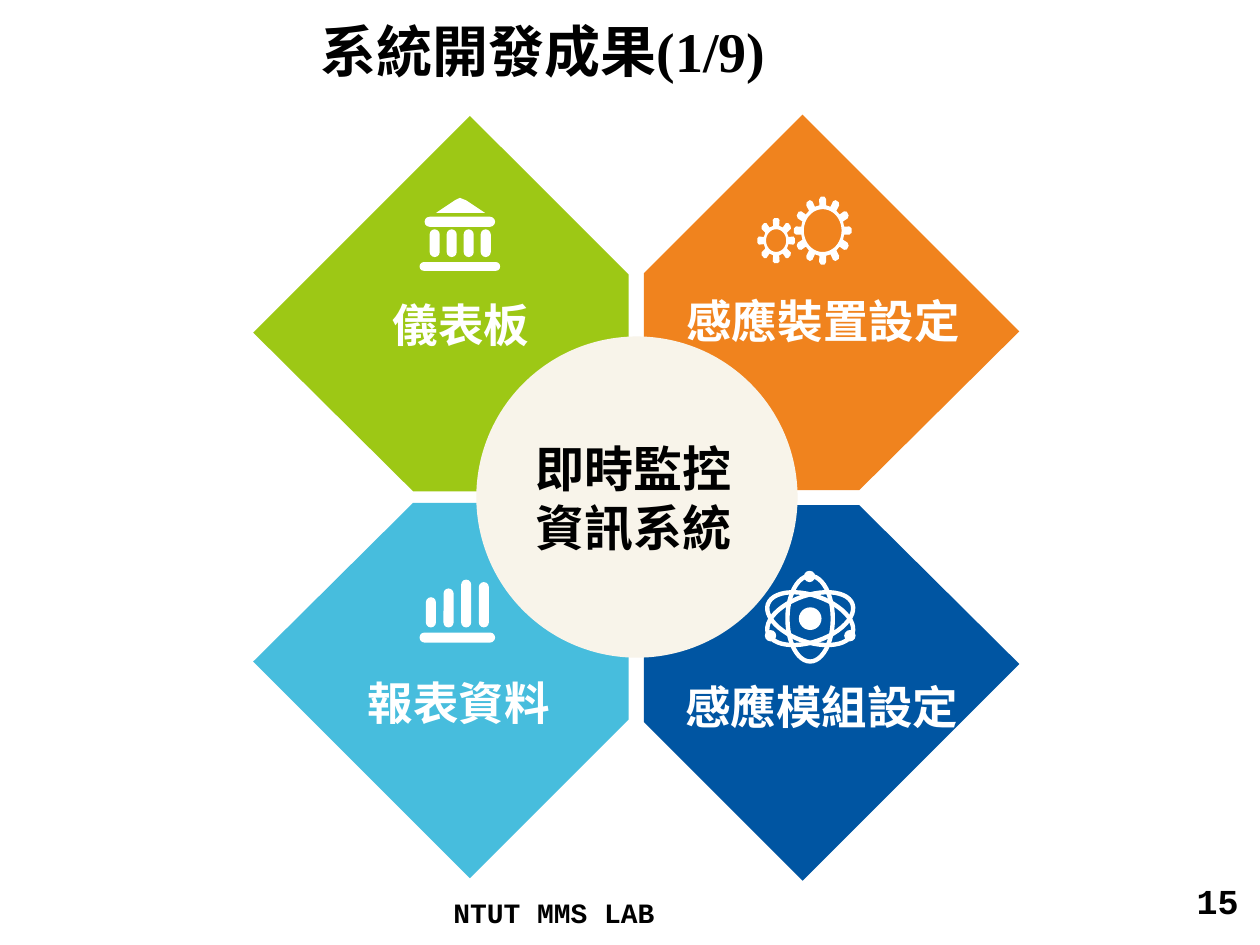
from math import cos, pi, sin

from lxml.etree import SubElement
from pptx import Presentation
from pptx.dml.color import RGBColor
from pptx.enum.shapes import MSO_SHAPE
from pptx.enum.text import MSO_ANCHOR, MSO_AUTO_SIZE, PP_ALIGN
from pptx.oxml.ns import qn
from pptx.util import Inches, Pt

COLUMNS, ROWS = 10, 7.5
CELL = Inches(1)
CJK_FONT = "Noto Sans CJK SC"
WHITE, BLACK, CREAM = "FFFFFF", "000000", "F8F4EA"
TITLE = {"name": "Times New Roman", "size": Pt(32), "bold": True}
LABEL = {"name": CJK_FONT, "size": Pt(26), "bold": True}
CENTER = {**LABEL, "size": Pt(28)}
FOOTER = {"name": "Courier New", "size": Pt(16), "bold": True}
PAGE_NUMBER = {**FOOTER, "size": Pt(20)}
PETALS = [
    (5.11, 3.89, 1, -1, "F0831E"),
    (4.99, 3.99, -1, 1, "47BDDD"),
    (5.11, 4.01, 1, 1, "0055A2"),
    (4.99, 3.9, -1, -1, "9DC815"),
]
LABELS = [
    ("儀表板", 3.02, 2.31, 1.3),
    ("感應裝置設定", 5.35, 2.28, 2.39),
    ("報表資料", 2.82, 5.31, 1.66),
    ("感應模組設定", 5.34, 5.34, 2.39),
]


def color(value):
    """Turn a hex string into a colour."""
    return RGBColor.from_string(value)


def cells(*lengths):
    """Turn grid columns or rows into slide lengths."""
    return [round(length * CELL) for length in lengths]


def write(shape, text, formats, fill=BLACK, **frame_formats):
    """Write one formatted paragraph into a shape."""
    frame = shape.text_frame
    for name, value in frame_formats.items():
        setattr(frame, name, value)
    paragraph = frame.paragraphs[0]
    paragraph.alignment = PP_ALIGN.LEFT
    run = paragraph.add_run()
    run.text = text
    for name, value in formats.items():
        setattr(run.font, name, value)
    run.font.color.rgb = color(fill)
    SubElement(run.font._element, qn("a:ea"), typeface=CJK_FONT)
    return paragraph


def paint(shape, fill):
    """Give a shape a plain fill without line or shadow."""
    shape.shadow.inherit = False
    shape.fill.solid()
    shape.fill.fore_color.rgb = color(fill)
    shape.line.fill.background()
    return shape


def add_preset(shapes, kind, box, fill=WHITE):
    """Add a filled preset shape."""
    return paint(shapes.add_shape(kind, *cells(*box)), fill)


def add_outline(shapes, contours, fill=WHITE):
    """Add a filled freeform made of closed contours."""
    first, *others = [[cells(*point) for point in contour] for contour in contours]
    builder = shapes.build_freeform(*first[0])
    builder.add_line_segments(first[1:], close=True)
    for contour in others:
        builder.move_to(*contour[0])
        builder.add_line_segments(contour[1:], close=True)
    return paint(builder.convert_to_shape(), fill)


def add_petal(shapes, corner_x, corner_y, side_x, side_y, fill):
    """Add a diamond with its inner corner squared off."""
    steps = [(1.71, 0), (0, 0), (0, 1.72), (1.26, 2.98), (2.98, 1.26)]
    points = [(corner_x + side_x * x, corner_y + side_y * y) for x, y in steps]
    add_outline(shapes, [points], fill)


def add_bar(shapes, *box):
    """Add a bar with fully rounded ends."""
    add_preset(shapes, MSO_SHAPE.ROUNDED_RECTANGLE, box).adjustments[0] = 0.5


def add_chart_icon(shapes):
    """Draw four rising bars on a base."""
    add_bar(shapes, 3.33, 5.02, 0.6, 0.08)
    for index, top in enumerate([4.74, 4.67, 4.6, 4.62]):
        add_bar(shapes, 3.38 + index * 0.14, top, 0.08, 4.98 - top)


def add_building_icon(shapes):
    """Draw a roof and four pillars between two slabs."""
    add_bar(shapes, 3.33, 2.08, 0.64, 0.07)
    add_bar(shapes, 3.37, 1.72, 0.56, 0.08)
    for index in range(4):
        add_bar(shapes, 3.41 + index * 0.135, 1.82, 0.08, 0.22)
    roof = [(3.46, 1.69), (3.61, 1.59), (3.65, 1.57), (3.7, 1.59), (3.85, 1.69)]
    add_outline(shapes, [roof])


def add_atom_icon(shapes):
    """Draw three orbits with a nucleus and electrons."""
    center_x, center_y = 6.43, 4.91
    for width, height, angle in [(0.36, 0.68, 0), (0.71, 0.37, -19), (0.71, 0.37, 19)]:
        box = center_x - width / 2, center_y - height / 2, width, height
        orbit = add_preset(shapes, MSO_SHAPE.OVAL, box)
        orbit.fill.background()
        orbit.line.color.rgb = color(WHITE)
        orbit.line.width = Pt(2.5)
        orbit.rotation = angle
    for left, top, size in [(6.34, 4.82, 0.18), (6.7, 5, 0.09), (6.07, 5, 0.09), (6.38, 4.53, 0.09)]:
        add_preset(shapes, MSO_SHAPE.OVAL, (left, top, size, size))


def add_gear(shapes, center, radii, hole, teeth, root):
    """Draw a toothed wheel with a round hole."""
    def around(turn, size, scale=1):
        """Find a point on an ellipse around the centre."""
        angle = 2 * pi * turn - pi / 2
        return center[0] + scale * size[0] * cos(angle), center[1] + scale * size[1] * sin(angle)

    profile = [(-0.3, root), (-0.25, 0.93), (-0.12, 1), (0.12, 1), (0.25, 0.93), (0.3, root)]
    rim = [around((tooth + shift) / teeth, radii, scale)
           for tooth in range(teeth) for shift, scale in profile]
    add_outline(shapes, [rim, [around(step / 48, hole) for step in range(48)]])


def add_gears_icon(shapes):
    """Draw a large and a small gear."""
    add_gear(shapes, (6.53, 1.83), (0.23, 0.27), (0.15, 0.17), 12, 0.75)
    add_gear(shapes, (6.16, 1.91), (0.15, 0.18), (0.08, 0.09), 8, 0.67)


def add_text(shapes, text, box, formats, fill=BLACK, **frame_formats):
    """Add a text box with one line."""
    return write(shapes.add_textbox(*cells(*box)), text, formats, fill, **frame_formats)


def main():
    """Build and save the slide."""
    presentation = Presentation()
    presentation.slide_width, presentation.slide_height = cells(COLUMNS, ROWS)
    slide = presentation.slides.add_slide(presentation.slide_layouts[5])
    shapes = slide.shapes
    title = shapes.title
    title.left, title.top, title.width, title.height = cells(2.44, 0, 7.56, 0.79)
    write(title, "系統開發成果(1/9)", TITLE, auto_size=MSO_AUTO_SIZE.NONE,
          vertical_anchor=MSO_ANCHOR.MIDDLE)
    number = add_text(shapes, "15", (7.6, 6.93, 2.33, 0.52), PAGE_NUMBER, word_wrap=True)
    number.alignment = PP_ALIGN.RIGHT
    add_text(shapes, "NTUT MMS LAB", (3.5, 7.06, 3.24, 0.32), FOOTER, word_wrap=True)
    for petal in PETALS:
        add_petal(shapes, *petal)
    circle = add_preset(shapes, MSO_SHAPE.OVAL, (3.78, 2.67, 2.55, 2.55), CREAM)
    write(circle, "即時監控資訊系統", CENTER, word_wrap=True, vertical_anchor=MSO_ANCHOR.MIDDLE)
    for add_icon in [add_chart_icon, add_building_icon, add_atom_icon, add_gears_icon]:
        add_icon(shapes.add_group_shape().shapes)
    for text, left, top, width in LABELS:
        add_text(shapes, text, (left, top, width, 0.54), LABEL, WHITE,
                 word_wrap=False, auto_size=MSO_AUTO_SIZE.SHAPE_TO_FIT_TEXT)
    presentation.save("out.pptx")


if __name__ == "__main__":
    main()
